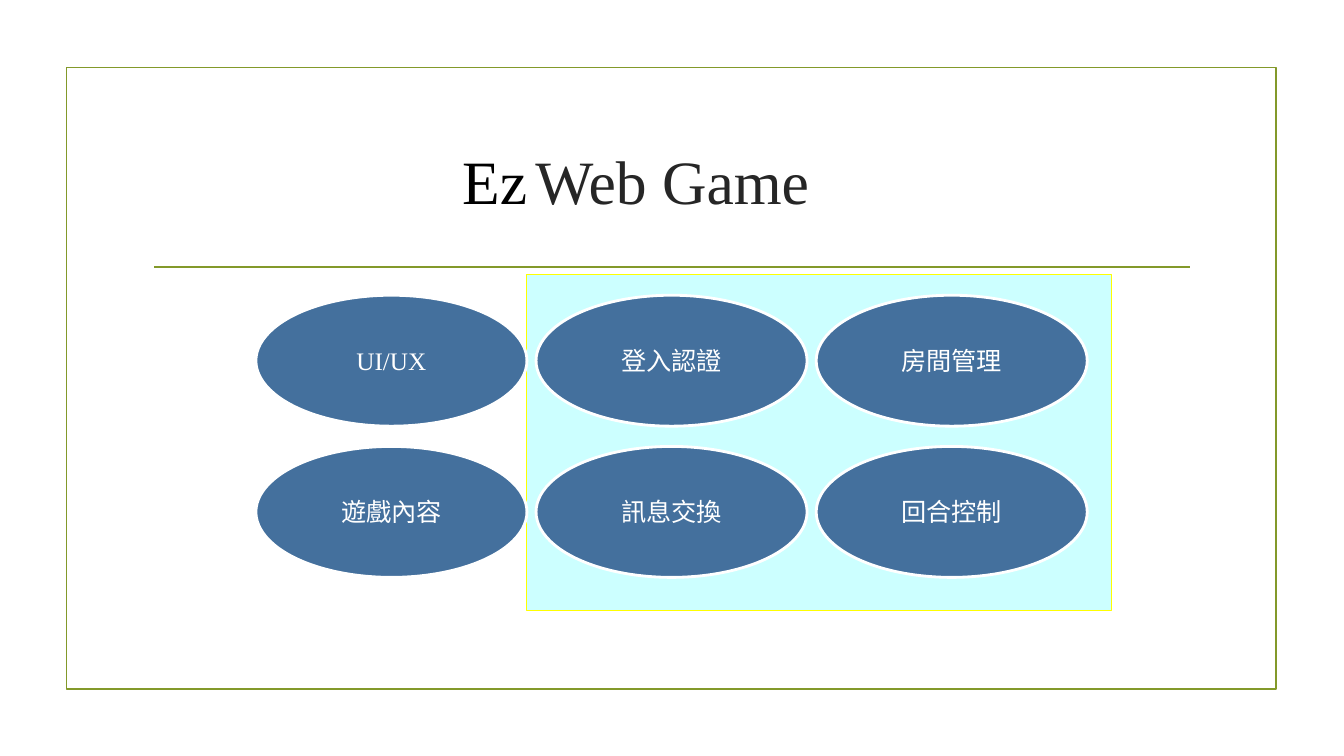
"""Build the Ez Web Game module overview slide."""

from dataclasses import dataclass

from lxml import etree
from pptx import Presentation
from pptx.dml.color import RGBColor
from pptx.enum import shapes, text
from pptx.oxml import ns
from pptx.shapes.autoshape import Shape
from pptx.slide import Slide
from pptx.util import Cm, Pt


@dataclass(frozen=True)
class Theme:
    font: str = "Times New Roman"
    title_size: float = 44
    module_size: float = 18
    frame: str = "83992A"
    panel: str = "CCFFFF"
    panel_border: str = "FFFF00"
    module: str = "44709D"
    white: str = "FFFFFF"
    title: str = "262626"
    prefix: str = "000000"


@dataclass(frozen=True)
class Box:
    left: float
    top: float
    width: float
    height: float

    def lengths(self) -> tuple[Cm, Cm, Cm, Cm]:
        return Cm(self.left), Cm(self.top), Cm(self.width), Cm(self.height)


@dataclass(frozen=True)
class Module:
    label: str
    column: int
    row: int

    def box(self) -> Box:
        return Box(6.45 + 7.06 * self.column, 7.44 + 3.81 * self.row, 6.83, 3.3)


THEME = Theme()
MODULES = [
    Module("登入認證", 1, 0),
    Module("訊息交換", 1, 1),
    Module("UI/UX", 0, 0),
    Module("遊戲內容", 0, 1),
    Module("房間管理", 2, 0),
    Module("回合控制", 2, 1),
]


def write_text(
    shape: Shape,
    content: str,
    *,
    size: float,
    color: str,
    align: text.PP_ALIGN = text.PP_ALIGN.CENTER,
    anchor: text.MSO_ANCHOR = text.MSO_ANCHOR.MIDDLE,
) -> None:
    frame = shape.text_frame
    frame.word_wrap = True
    frame.vertical_anchor = anchor
    paragraph = frame.paragraphs[0]
    paragraph.alignment = align
    run = paragraph.add_run()
    run.text = content
    run.font.name = THEME.font
    run.font.size = Pt(size)
    run.font.color.rgb = RGBColor.from_string(color)


def add_outlined(
    slide: Slide,
    kind: shapes.MSO_SHAPE,
    box: Box,
    *,
    line: str,
    width: float,
    fill: str | None = None,
) -> Shape:
    shape = slide.shapes.add_shape(kind, *box.lengths())
    shape.shadow.inherit = False
    if fill is None:
        shape.fill.background()
    else:
        shape.fill.solid()
        shape.fill.fore_color.rgb = RGBColor.from_string(fill)
    shape.line.color.rgb = RGBColor.from_string(line)
    shape.line.width = Pt(width)
    return shape


def add_rule(slide: Slide, left: float, right: float, top: float) -> None:
    rule = slide.shapes.add_connector(
        shapes.MSO_CONNECTOR.STRAIGHT, Cm(left), Cm(top), Cm(right), Cm(top)
    )
    rule.line.color.rgb = RGBColor.from_string(THEME.frame)
    rule.line.width = Pt(1.25)
    properties = rule._element.spPr
    etree.SubElement(properties, ns.qn("a:effectLst"))


def add_module(slide: Slide, module: Module) -> None:
    ellipse = add_outlined(
        slide,
        shapes.MSO_SHAPE.OVAL,
        module.box(),
        line=THEME.white,
        width=2,
        fill=THEME.module,
    )
    write_text(ellipse, module.label, size=THEME.module_size, color=THEME.white)


def main() -> None:
    presentation = Presentation()
    presentation.slide_width, presentation.slide_height = Cm(33.87), Cm(19.05)
    slide = presentation.slides.add_slide(presentation.slide_layouts[6])

    rectangle = shapes.MSO_SHAPE.RECTANGLE
    add_outlined(
        slide, rectangle, Box(1.68, 1.7, 30.48, 15.67), line=THEME.frame, width=1.25
    )
    add_rule(slide, 3.89, 30, 6.73)
    add_outlined(
        slide,
        rectangle,
        Box(13.28, 6.91, 14.73, 8.48),
        line=THEME.panel_border,
        width=0.75,
        fill=THEME.panel,
    )

    title = slide.shapes.add_textbox(*Box(3.61, 2.72, 26.67, 3.63).lengths())
    write_text(title, "Web Game", size=THEME.title_size, color=THEME.title)
    for module in MODULES:
        add_module(slide, module)
    prefix = slide.shapes.add_textbox(*Box(11.4, 3.48, 6.12, 2.13).lengths())
    write_text(
        prefix,
        "Ez",
        size=THEME.title_size,
        color=THEME.prefix,
        align=text.PP_ALIGN.LEFT,
        anchor=text.MSO_ANCHOR.TOP,
    )

    presentation.save("out.pptx")


if __name__ == "__main__":
    main()
